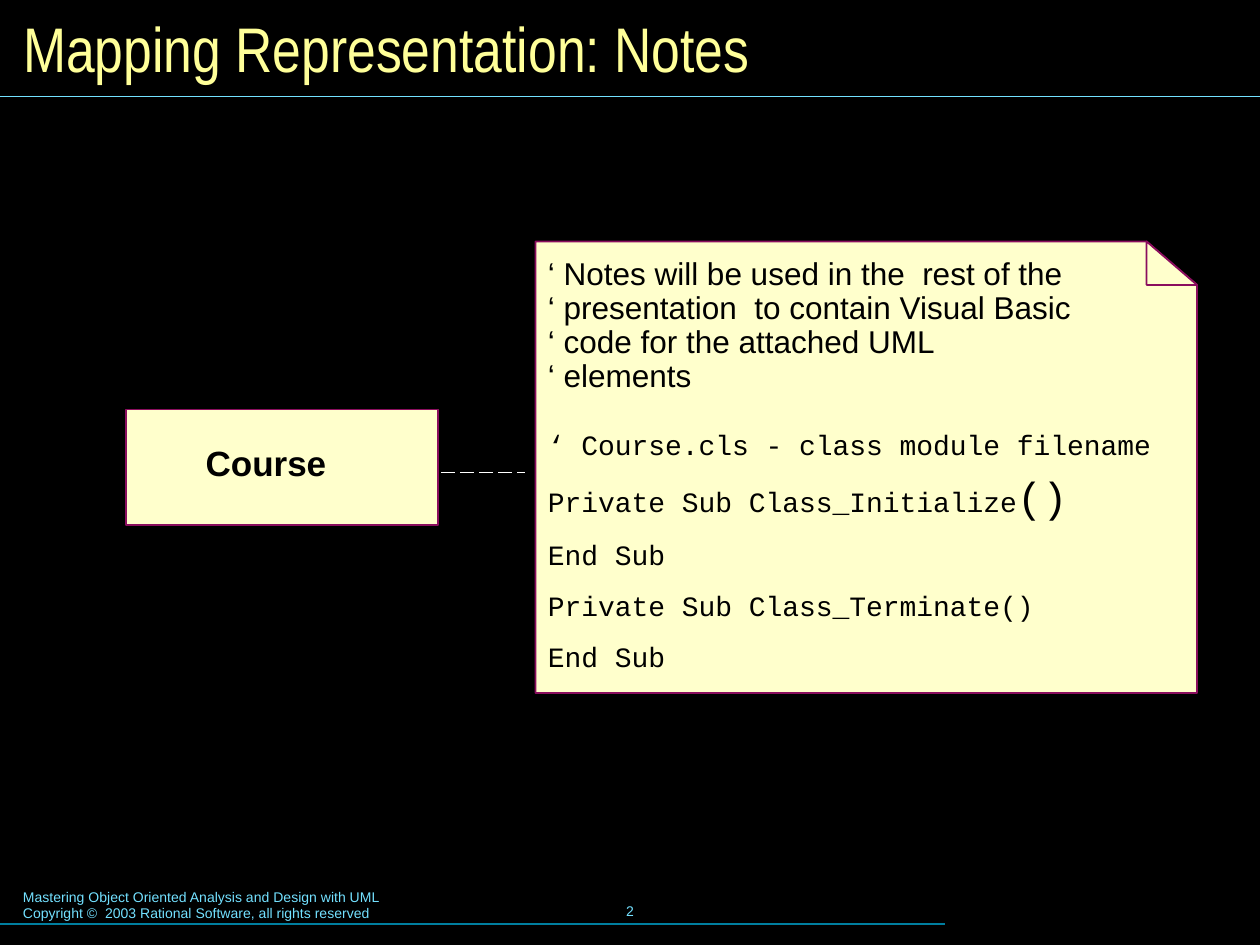
from lxml import etree
from pptx import Presentation
from pptx.dml.color import RGBColor
from pptx.enum.dml import MSO_LINE
from pptx.enum.shapes import MSO_CONNECTOR, MSO_SHAPE
from pptx.enum.text import MSO_ANCHOR as ANCHOR, PP_ALIGN as ALIGN
from pptx.oxml.ns import qn
from pptx.util import Pt

CYAN, TEAL, CREAM, PLUM = "73E1FF", "007E9F", "FFFFCC", "8A0E5E"
BLACK, WHITE, YELLOW = "000000", "FFFFFF", "FFFF99"


def rgb(color):
    return RGBColor.from_string(color)


def set_font(font, name, size, color, bold=False):
    font.name, font.size, font.bold = name, Pt(size), bold
    font.color.rgb = rgb(color)


def add_line(slide, x1, y1, x2, y2, color, width):
    line = slide.shapes.add_connector(
        MSO_CONNECTOR.STRAIGHT, Pt(x1), Pt(y1), Pt(x2), Pt(y2))
    line.line.color.rgb = rgb(color)
    line.line.width = Pt(width)
    etree.SubElement(line._element.spPr, qn("a:effectLst"))
    return line


def add_text(slide, x, y, w, h, anchor=ANCHOR.TOP):
    tf = slide.shapes.add_textbox(Pt(x), Pt(y), Pt(w), Pt(h)).text_frame
    tf.word_wrap = True
    tf.vertical_anchor = anchor
    return tf


def style_paper(sp):
    sp.shadow.inherit = False
    sp.fill.solid()
    sp.fill.fore_color.rgb = rgb(CREAM)
    sp.line.color.rgb = rgb(PLUM)
    sp.line.width = Pt(1)


def add_outline(slide, points):
    builder = slide.shapes.build_freeform(Pt(points[0][0]), Pt(points[0][1]))
    builder.add_line_segments([(Pt(x), Pt(y)) for x, y in points[1:]], close=True)
    style_paper(builder.convert_to_shape())


def add_title(slide, x, y, w, h):
    title = slide.shapes.title
    title.left, title.top, title.width, title.height = Pt(x), Pt(y), Pt(w), Pt(h)
    tf = title.text_frame
    tf.text = "Mapping Representation: Notes"
    tf.vertical_anchor = ANCHOR.MIDDLE
    p = tf.paragraphs[0]
    p.alignment = ALIGN.LEFT
    set_font(p.font, "Arial Narrow", 36, YELLOW)
    add_line(slide, 0, y + h + 7, 720, y + h + 7, CYAN, 0.75)


def add_footer(slide, x, y, w, h):
    tf = add_text(slide, x + 6, y, 367, h)
    tf.text = ("Mastering Object Oriented Analysis and Design with UML\n"
               "Copyright ©  2003 Rational Software, all rights reserved")
    number = add_text(slide, x + 246, y - 1.5, 228, 36, ANCHOR.MIDDLE)
    number.text = "2"
    number.paragraphs[0].alignment = ALIGN.CENTER
    for p in tf.paragraphs + number.paragraphs:
        set_font(p.font, "Arial", 8, CYAN)
    add_line(slide, x, y + 24, x + w, y + 24, TEAL, 0.75)


def add_class_box(slide, x, y, w, h):
    sp = slide.shapes.add_shape(MSO_SHAPE.RECTANGLE, Pt(x), Pt(y), Pt(w), Pt(h))
    style_paper(sp)
    tf = add_text(slide, x + 21.6, y + 17.3, 100, 28.8)
    tf.text = "Course"
    p = tf.paragraphs[0]
    p.alignment = ALIGN.RIGHT
    p.line_spacing = 0.9
    set_font(p.font, "Arial", 20, BLACK, bold=True)


def add_note(slide, x, y, w, h, fold_w=28.8, fold_h=24.8):
    right, bottom = x + w, y + h
    fold = [(right, y + fold_h), (right - fold_w, y + fold_h), (right - fold_w, y)]
    add_outline(slide, [(right, bottom), (x, bottom), (x, y), fold[2], fold[0]])
    add_outline(slide, fold)

    tf = add_text(slide, x, y + 6, w - 12, h - 15)
    p = tf.paragraphs[0]
    p.text = ("‘ Notes will be used in the  rest of the\v"
              "‘ presentation  to contain Visual Basic\v"
              "‘ code for the attached UML\v"
              "‘ elements")
    p.line_spacing = 0.9
    set_font(p.font, "Arial", 18, BLACK)

    p = tf.add_paragraph()
    p.text = "‘ Course.cls - class module filename"
    p.line_spacing = 0.9
    p.space_before = Pt(21)
    set_font(p.font, "Courier New", 16, BLACK)

    for name in ("Initialize", "Terminate"):
        for code in (f"Private Sub Class_{name}", "End Sub"):
            p = tf.add_paragraph()
            p.space_before = p.space_after = Pt(5)
            set_font(p.font, "Courier New", 16, BLACK)
            p.add_run().text = code
            if code != "End Sub":
                r = p.add_run()
                r.text = "()"
                if name == "Initialize":
                    r.font.size = Pt(24)


def main():
    prs = Presentation()
    prs.slide_width, prs.slide_height = Pt(720), Pt(540)
    slide = prs.slides.add_slide(prs.slide_layouts[5])
    slide.background.fill.solid()
    slide.background.fill.fore_color.rgb = rgb(BLACK)

    add_title(slide, 6, 6, 708, 42)
    add_footer(slide, 0, 504, 540, 27)
    add_note(slide, 306, 138, 378, 258)
    add_class_box(slide, 72, 234, 178.5, 66)
    anchor = add_line(slide, 252, 270, 300, 270, WHITE, 1)
    anchor.line.dash_style = MSO_LINE.LONG_DASH
    prs.save("out.pptx")


if __name__ == "__main__":
    main()
